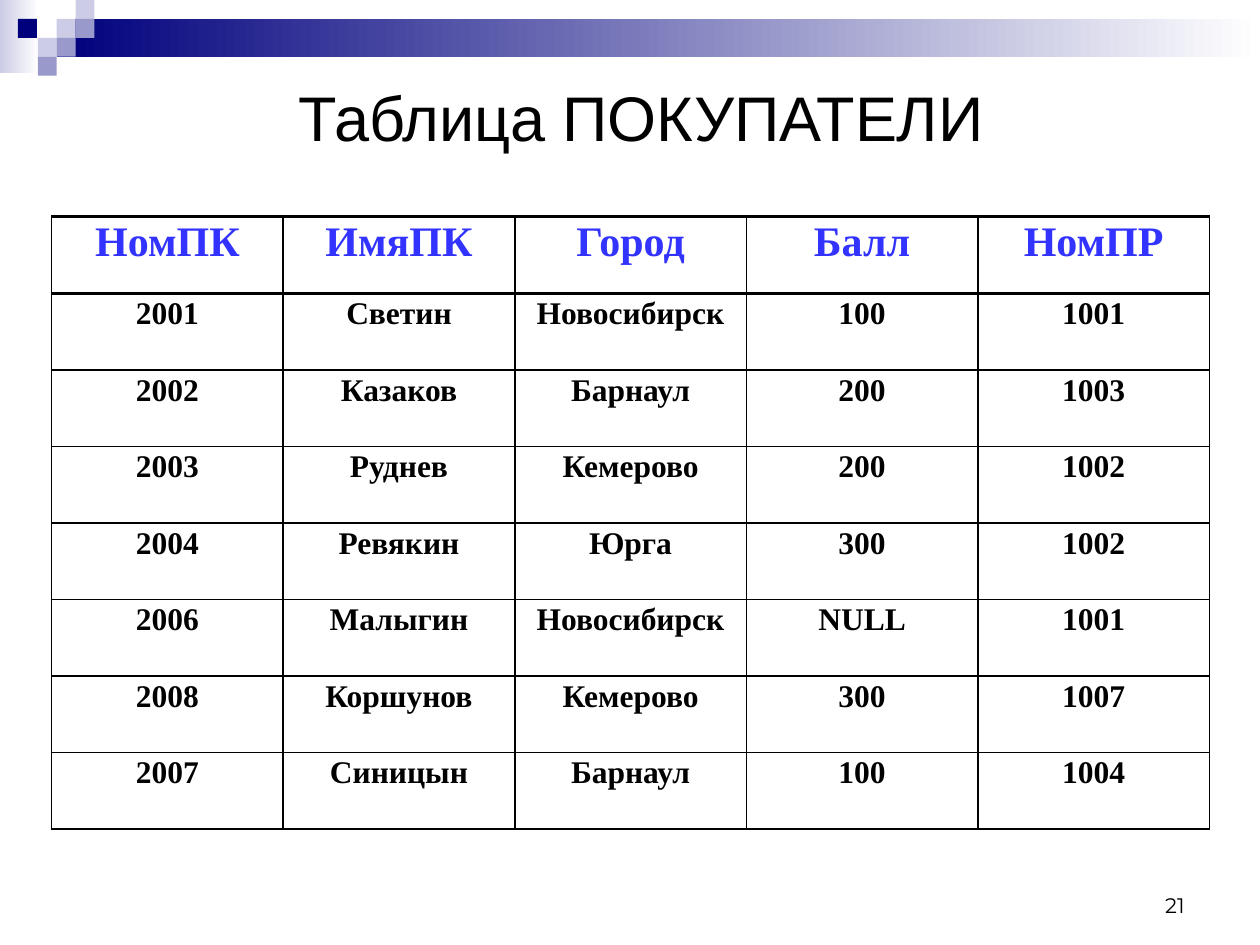
from pptx import Presentation
from pptx.dml.color import RGBColor
from pptx.enum.shapes import MSO_SHAPE
from pptx.enum.text import MSO_ANCHOR as ANCHOR, PP_ALIGN as ALIGN
from pptx.oxml.ns import qn
from pptx.util import Inches, Pt
from lxml.etree import SubElement

NAVY, LILAC, VIOLET, WHITE, BLACK, BLUE = (
    "00007D", "CCCCE6", "9999CC", "FFFFFF", "000000", "3333FF")
UNIT = 0.15  # side of one decorative square

# Column, row and colour of each square
SQUARES = [(3, 1, LILAC), (4, 0, LILAC), (4, 1, VIOLET), (2, 2, LILAC),
           (0.95, 1, NAVY), (3, 2, VIOLET), (2, 3, VIOLET)]

ROWS = [
    ("НомПК", "ИмяПК", "Город", "Балл", "НомПР"),
    ("2001", "Светин", "Новосибирск", "100", "1001"),
    ("2002", "Казаков", "Барнаул", "200", "1003"),
    ("2003", "Руднев", "Кемерово", "200", "1002"),
    ("2004", "Ревякин", "Юрга", "300", "1002"),
    ("2006", "Малыгин", "Новосибирск", "NULL", "1001"),
    ("2008", "Коршунов", "Кемерово", "300", "1007"),
    ("2007", "Синицын", "Барнаул", "100", "1004"),
]


def color(value):
    return RGBColor.from_string(value)


def box(*lengths):
    return [Inches(v) for v in lengths]


def write(tf, text, size, font, fill=BLACK, bold=False, align=ALIGN.CENTER,
          spacing=None):
    p = tf.paragraphs[0]
    p.alignment = align
    p.line_spacing = spacing
    r = p.add_run()
    r.text = text
    r.font.size, r.font.name, r.font.bold = Pt(size), font, bold
    r.font.color.rgb = color(fill)


def add_rect(s, place, *colors):
    """One colour gives a solid fill, two give a left-to-right gradient."""
    sp = s.shapes.add_shape(MSO_SHAPE.RECTANGLE, *box(*place))
    sp.shadow.inherit = False
    sp.line.fill.background()
    if len(colors) == 1:
        sp.fill.solid()
        sp.fill.fore_color.rgb = color(colors[0])
    else:
        sp.fill.gradient()
        sp.fill.gradient_angle = 0
        for stop, value in zip(sp.fill.gradient_stops, colors):
            stop.color.rgb = color(value)


def add_text(s, place, text, anchor, **fmt):
    tf = s.shapes.add_textbox(*box(*place)).text_frame
    tf.word_wrap = True
    tf.vertical_anchor = anchor
    write(tf, text, **fmt)


def set_borders(cell, **widths):
    tc_pr = cell._tc.get_or_add_tcPr()
    for i, side in enumerate("LRTB"):
        ln = tc_pr.makeelement(qn(f"a:ln{side}"), w=str(Pt(widths.get(side, 1))))
        SubElement(SubElement(ln, qn("a:solidFill")), qn("a:srgbClr"), val=BLACK)
        tc_pr.insert(i, ln)  # borders come before the fill


def add_grid(s, rows, place):
    table = s.shapes.add_table(len(rows), len(rows[0]), *box(*place)).table
    table.first_row = table.horz_banding = False
    for i, row in enumerate(rows):
        header = i == 0
        for j, text in enumerate(row):
            cell = table.cell(i, j)
            cell.fill.background()
            set_borders(cell, T=2 if i < 2 else 1, B=2 if header else 1)
            write(cell.text_frame, text, size=24 if header else 18,
                  font="Times New Roman", fill=BLUE if header else BLACK,
                  bold=True, spacing=0.9)


def main():
    prs = Presentation()
    prs.slide_width, prs.slide_height = box(10, 7.5)
    s = prs.slides.add_slide(prs.slide_layouts[6])

    # Top decoration
    add_rect(s, (0, 0, 0.31, 0.58), LILAC, WHITE)
    add_rect(s, (3 * UNIT, UNIT, 10 - 3 * UNIT, 2 * UNIT), NAVY, WHITE)
    for col, row, fill in SQUARES:
        add_rect(s, (col * UNIT, row * UNIT, UNIT, UNIT), fill)

    # Title, table and slide number
    add_text(s, (0.59, 0.32, 9, 1.2), "Таблица ПОКУПАТЕЛИ", ANCHOR.MIDDLE,
             size=36, font="Arial")
    add_grid(s, ROWS, (0.41, 1.72, 9.19, 4.86))
    add_text(s, (7.17, 6.83, 2.33, 0.5), "21", ANCHOR.BOTTOM,
             size=12, font="Montserrat", align=ALIGN.RIGHT)

    prs.save("out.pptx")


if __name__ == "__main__":
    main()
